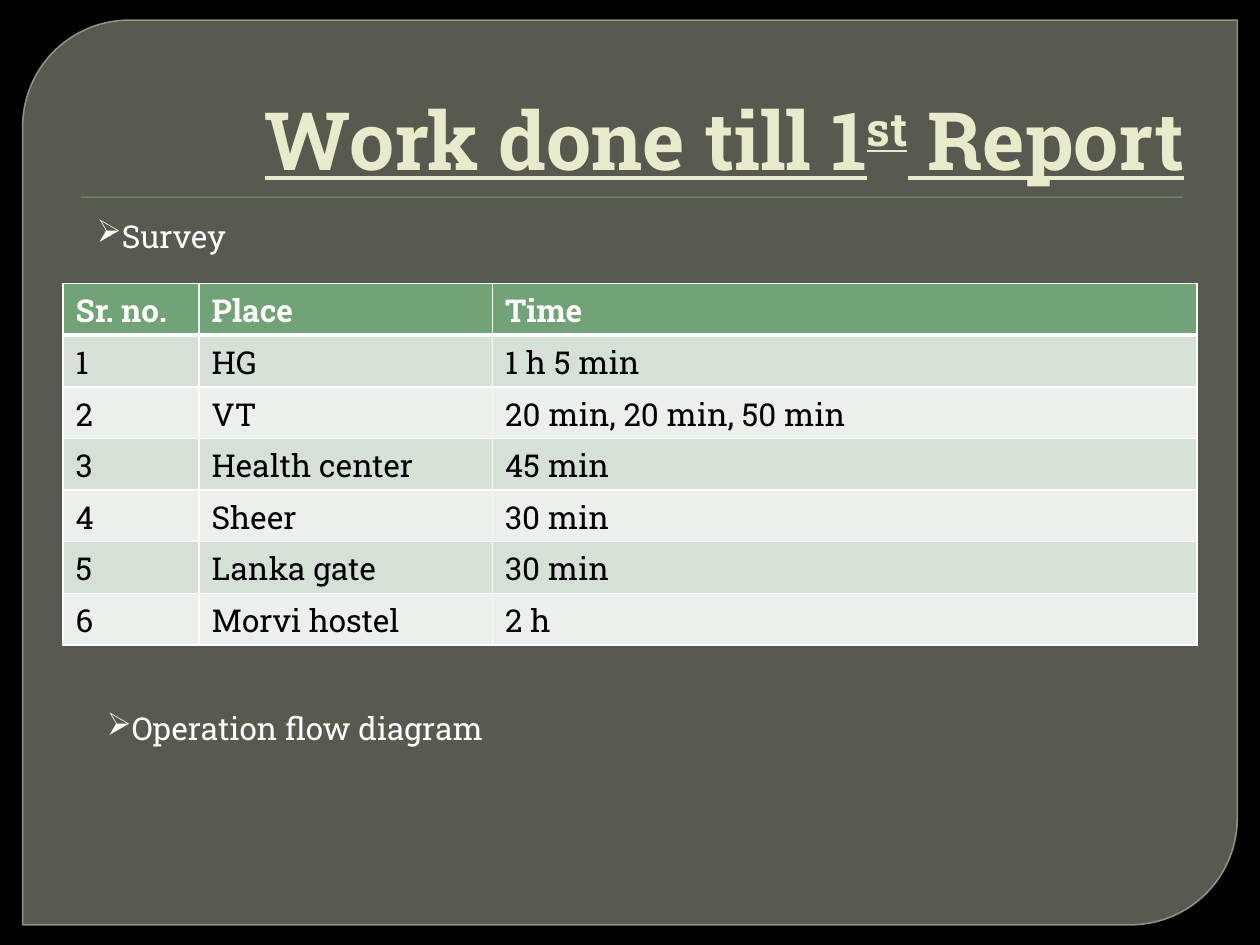
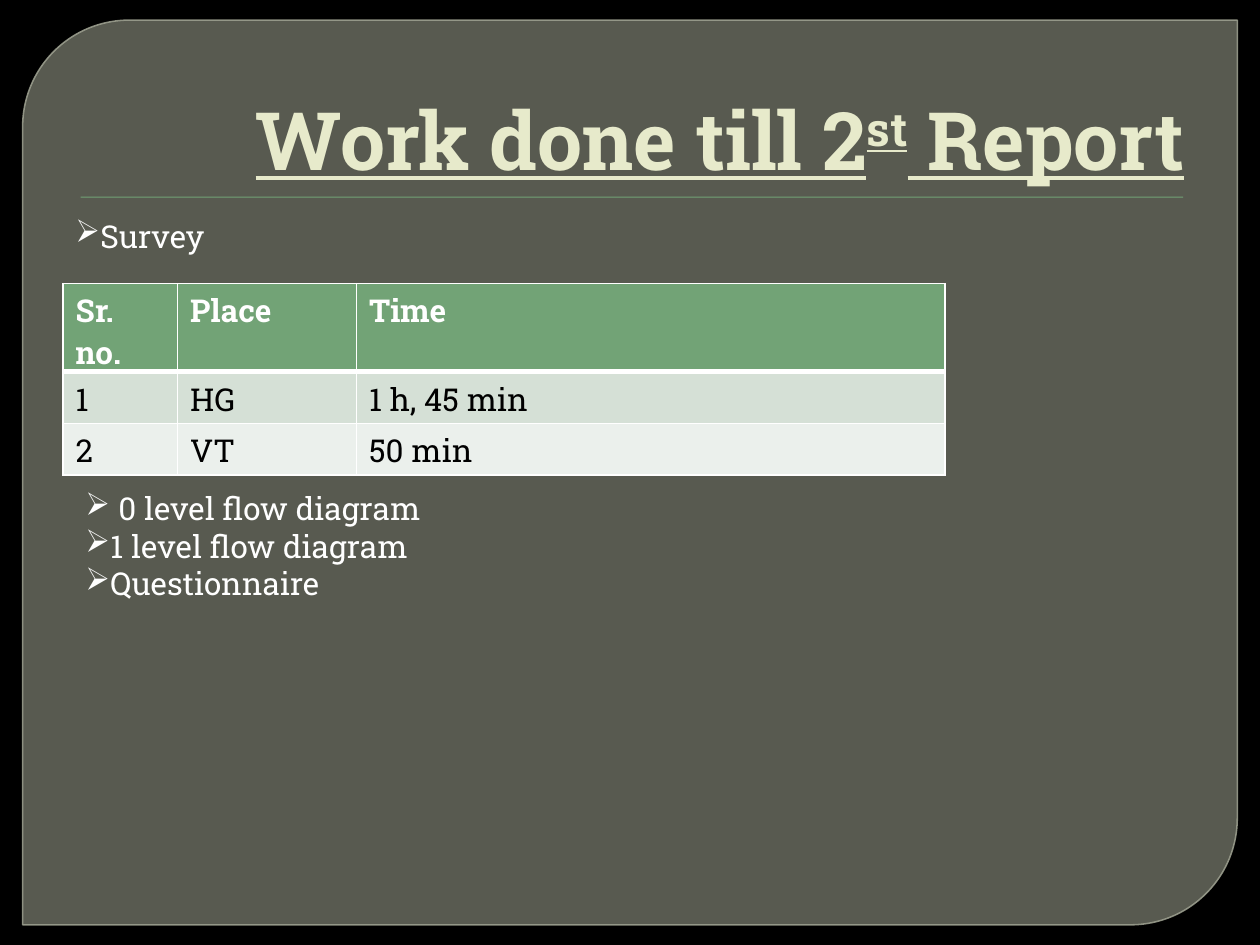
from lxml.etree import SubElement as Sub
from pptx import Presentation
from pptx.dml.color import RGBColor
from pptx.enum.shapes import MSO_SHAPE as Shape
from pptx.enum.text import MSO_ANCHOR as Anchor, PP_ALIGN as Align
from pptx.oxml.ns import qn
from pptx.util import Inches, Pt

FONT = "Roboto Slab"
BLACK, WHITE = "000000", "FFFFFF"
PANEL, EDGE = "888B7B", "9DA090"
GREEN, CREAM = "72A376", "E7EACB"
BANDS = ["D5E0D6", "EBF0EC"]
ROW = 0.41


def color(code):
    return RGBColor.from_string(code)


def paint(part, code, alpha=None):
    """Fill a shape, cell, background or line, optionally see-through."""
    part.solid()
    part.fore_color.rgb = color(code)


def fade(shape, tag, percent):
    """Set the opacity of the fill or line colour of a shape."""
    props = shape.element.spPr
    if tag == "line":
        props = props.find(qn("a:ln"))
    tone = props.find(qn("a:solidFill")).find(qn("a:srgbClr"))
    Sub(tone, qn("a:alpha")).set("val", str(percent * 1000))


def write(para, text, size=18, tone=WHITE, bold=False):
    run = para.add_run()
    run.text = text
    font = run.font
    font.name, font.size, font.bold = FONT, Pt(size), bold
    font.color.rgb = color(tone)
    return run


def add_text(slide, box):
    frame = slide.shapes.add_textbox(*map(Inches, box)).text_frame
    frame.word_wrap = True
    return frame


def add_base(slide):
    """Black page, rounded panel and the rule under the title."""
    paint(slide.background.fill, BLACK)

    panel = slide.shapes.add_shape(
        Shape.ROUND_2_DIAG_RECTANGLE, *map(Inches, (0.18, 0.16, 9.64, 7.18)))
    panel.adjustments[0], panel.adjustments[1] = 0.118, 0
    panel.shadow.inherit = False
    paint(panel.fill, PANEL)
    paint(panel.line.fill, EDGE)
    panel.line.width = Pt(0.87)
    fade(panel, "fill", 65)
    fade(panel, "line", 88)

    rule = slide.shapes.add_shape(
        Shape.RECTANGLE, *map(Inches, (0.64, 1.56, 8.75, 0.01)))
    rule.shadow.inherit = False
    paint(rule.fill, GREEN)
    rule.line.fill.background()


def add_title(slide, number, box=(0.5, 0.28, 9, 1.25)):
    frame = add_text(slide, box)
    frame.vertical_anchor = Anchor.BOTTOM
    para = frame.paragraphs[0]
    para.alignment = Align.RIGHT
    for text, rise in [(f"Work done till {number}", 0), ("st", 30), (" Report", 0)]:
        run = write(para, text, 46, CREAM, True)
        run.font.underline = True
        if rise:
            run.font._element.set("baseline", str(rise * 1000))


def add_list(slide, box, items):
    """Text box with one arrow bullet for each item."""
    frame = add_text(slide, box)
    for i, item in enumerate(items):
        para = frame.add_paragraph() if i else frame.paragraphs[0]
        Sub(para._p.get_or_add_pPr(), qn("a:buChar")).set("char", "\u27a2")
        write(para, item)


def add_edges(cell, top, bottom):
    props = cell._tc.get_or_add_tcPr()
    for side, width in zip("LRTB", (1, 1, top, bottom)):
        line = Sub(props, qn(f"a:ln{side}"), w=str(Pt(width)))
        fill = Sub(line, qn("a:solidFill"))
        Sub(fill, qn("a:srgbClr"), val=WHITE)


def add_grid(slide, left, top, widths, rows):
    """Numbered survey table with a green header and banded rows."""
    data = [("Sr. no.", "Place", "Time")]
    data += [(str(i), *row) for i, row in enumerate(rows, 1)]
    box = (left, top, sum(widths), ROW * len(data))
    grid = slide.shapes.add_table(
        len(data), len(widths), *map(Inches, box)).table
    for col, width in zip(grid.columns, widths):
        col.width = Inches(width)
    for i, row in enumerate(data):
        head = i == 0
        for j, text in enumerate(row):
            cell = grid.cell(i, j)
            add_edges(cell, 3 if i == 1 else 1, 3 if head else 1)
            paint(cell.fill, GREEN if head else BANDS[(i - 1) % 2])
            write(cell.text_frame.paragraphs[0], text,
                  tone=WHITE if head else BLACK, bold=head)


def add_report(deck, number, survey, widths, rows, notes, items):
    """One report slide: title, survey heading, table and further work."""
    slide = deck.slides.add_slide(deck.slide_layouts[6])
    add_base(slide)
    add_title(slide, number)
    add_grid(slide, 0.5, 2.25, widths, rows)
    add_list(slide, survey, ["Survey"])
    add_list(slide, notes, items)


deck = Presentation()
deck.slide_width, deck.slide_height = Inches(10), Inches(7.5)

add_report(
    deck, 1, (0.67, 1.67, 8.58, 0.4), (1.08, 2.33, 5.59),
    [("HG", "1 h 5 min"),
     ("VT", "20 min, 20 min, 50 min"),
     ("Health center", "45 min"),
     ("Sheer", "30 min"),
     ("Lanka gate", "30 min"),
     ("Morvi hostel", "2 h")],
    (0.75, 5.58, 4, 0.4), ["Operation flow diagram"])

add_report(
    deck, 2, (0.5, 1.67, 1.51, 0.4), (0.91, 1.42, 4.67),
    [("HG", "1 h, 45 min"),
     ("VT", "50 min")],
    (0.58, 3.83, 5.42, 1.01),
    [" 0 level flow diagram", "1 level flow diagram", "Questionnaire"])

deck.save("out.pptx")
